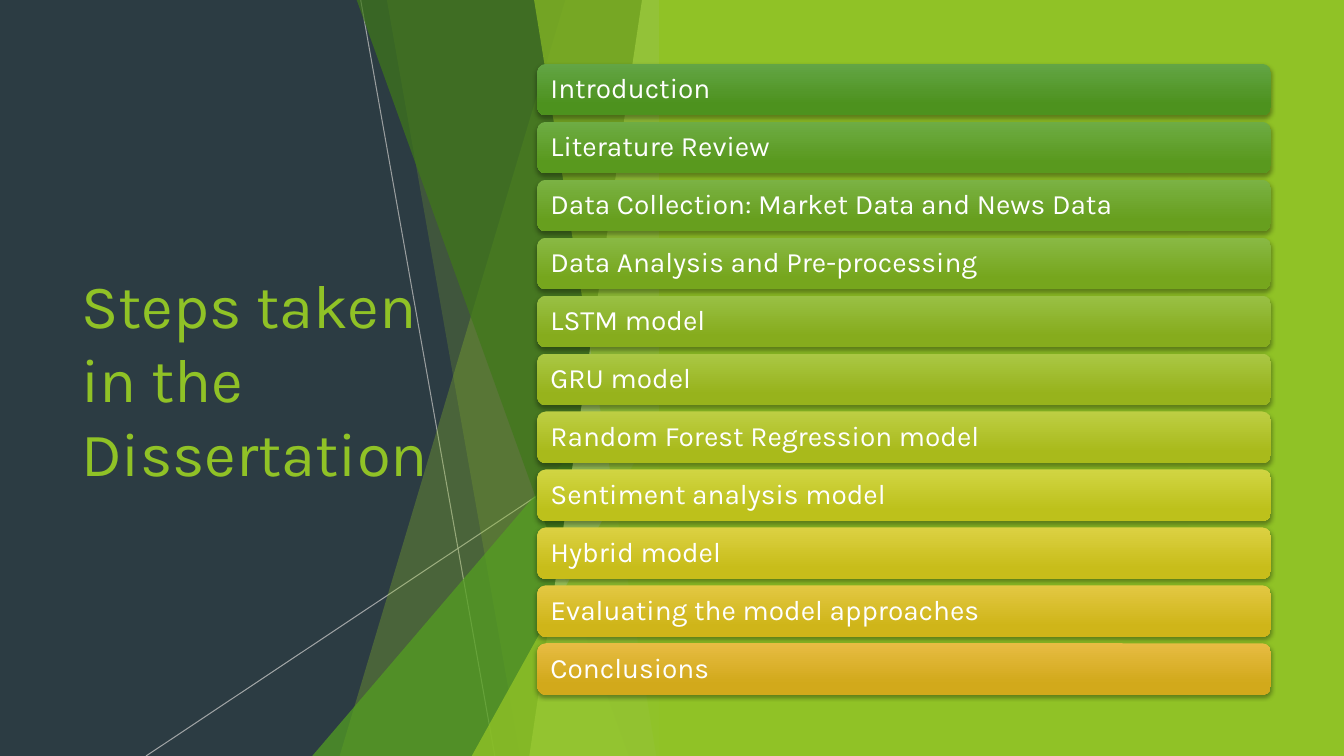
from lxml.etree import SubElement
from pptx import Presentation
from pptx.dml.color import RGBColor
from pptx.enum.shapes import MSO_CONNECTOR, MSO_SHAPE
from pptx.enum.text import MSO_ANCHOR, PP_ALIGN
from pptx.oxml.ns import qn
from pptx.util import Cm, Pt

THEME = {
    "font": "Karla", "title": 44, "step": 20,
    "back": "2C3C43", "lime": "90C226", "leaf": "54A021", "moss": "3F7819",
    "pale": "C0E474", "ray": "BFBFBF", "text": "FFFFFF", "shade": "000000",
}
TITLE = "Steps taken in the Dissertation"
# Step name, top colour and lower colour of its bar
STEPS = [
    ("Introduction", "63A545", "4D921E"),
    ("Literature Review", "6EAC44", "59991E"),
    ("Data Collection: Market Data and News Data", "7BB244", "679F1E"),
    ("Data Analysis and Pre-processing", "89B944", "76A61D"),
    ("LSTM model", "99C044", "86AC1D"),
    ("GRU model", "AAC744", "97B31C"),
    ("Random Forest Regression model", "BDCE43", "A9BA1B"),
    ("Sentiment analysis model", "D1D543", "BDC11B"),
    ("Hybrid model", "DCD143", "C8BD1A"),
    ("Evaluating the model approaches", "E3C843", "CFB519"),
    ("Conclusions", "E7BC43", "D2A91B"),
]
WIDE, HIGH = 33.87, 19.05
EDGE = 16.92   # right side shared by all facets
PANEL = 16.61  # left side of the lime panel
# Start x, start y, end x, end y, opacity
RAYS = [(9.09, 0, 12.47, HIGH, 75), (EDGE, 10.24, 3.68, HIGH, 80)]
# Bands: x at top, x at bottom. Peaks: left, top.
FACETS = [
    ("band", 14.25, 8.56, "lime", 30),
    ("band", 9.75, 13.11, "lime", 20),
    ("peak", 7.87, 8.46, "leaf", 72),
    ("band", 8.99, 15.85, "moss", 70),
    ("band", 16.18, 13.34, "pale", 70),
    ("band", 13.46, 16.54, "lime", 65),
    ("peak", 11.89, 9.98, "lime", 80),
]
BAR = {"left": 13.54, "top": 1.61, "wide": 18.49, "high": 1.3, "step": 1.46}


def rgb(name):
    return RGBColor.from_string(THEME.get(name, name))


def fade(shape, alpha):
    """Set the opacity, in percent, of the shape's one colour."""
    tone = shape.element.xpath(".//a:srgbClr")[0]
    SubElement(tone, qn("a:alpha"), val=str(alpha * 1000))


def paint(shape, color):
    shape.shadow.inherit = False
    shape.line.fill.background()
    shape.fill.solid()
    shape.fill.fore_color.rgb = rgb(color)


def write(shape, text, size, color):
    frame = shape.text_frame
    frame.word_wrap = True
    frame.vertical_anchor = MSO_ANCHOR.MIDDLE
    line = frame.paragraphs[0]
    line.alignment = PP_ALIGN.LEFT
    run = line.add_run()
    run.text = text
    run.font.name = THEME["font"]
    run.font.size = Pt(THEME[size])
    run.font.color.rgb = rgb(color)
    return frame


def add_ray(shapes, x1, y1, x2, y2, alpha):
    ray = shapes.add_connector(MSO_CONNECTOR.STRAIGHT, Cm(x1), Cm(y1), Cm(x2), Cm(y2))
    ray.line.color.rgb = rgb("ray")
    ray.line.width = Pt(0.75)
    SubElement(ray.element.spPr, qn("a:effectLst"))
    fade(ray, alpha)


def add_facet(shapes, kind, a, b, color, alpha):
    if kind == "band":
        form = shapes.build_freeform(Cm(a), 0)
        form.add_line_segments([(Cm(EDGE), 0), (Cm(EDGE), Cm(HIGH)), (Cm(b), Cm(HIGH))])
        facet = form.convert_to_shape()
    else:
        facet = shapes.add_shape(MSO_SHAPE.ISOSCELES_TRIANGLE, Cm(a), Cm(b),
                                 Cm(EDGE - a), Cm(HIGH - b))
        facet.adjustments[0] = 1
    paint(facet, color)
    fade(facet, alpha)


def add_bar(shapes, row, text, light, dark):
    bar = shapes.add_shape(MSO_SHAPE.ROUNDED_RECTANGLE, Cm(BAR["left"]),
                           Cm(BAR["top"] + row * BAR["step"]),
                           Cm(BAR["wide"]), Cm(BAR["high"]))
    bar.line.fill.background()
    bar.fill.gradient()
    bar.fill.gradient_angle = 270
    for stop, place, color in zip(bar.fill.gradient_stops, (0, 0.78), (light, dark)):
        stop.position = place
        stop.color.rgb = rgb(color)
    bar.shadow.inherit = False
    glow = bar.element.xpath("./p:spPr/a:effectLst")[0]
    drop = SubElement(glow, qn("a:outerShdw"), blurRad=str(Pt(3)), dist=str(Pt(2)),
                      dir="5400000", rotWithShape="0")
    tone = SubElement(drop, qn("a:srgbClr"), val=THEME["shade"])
    SubElement(tone, qn("a:alpha"), val="35000")
    frame = write(bar, text, "step", "text")
    frame.margin_left = frame.margin_right = Cm(0.27)
    frame.margin_top = frame.margin_bottom = Cm(0.2)
    frame.paragraphs[0].line_spacing = 0.9


def main():
    deck = Presentation()
    deck.slide_width, deck.slide_height = Cm(WIDE), Cm(HIGH)
    slide = deck.slides.add_slide(deck.slide_layouts[6])
    slide.background.fill.solid()
    slide.background.fill.fore_color.rgb = rgb("back")
    shapes = slide.shapes

    title = shapes.add_textbox(Cm(1.8), Cm(3.84), Cm(9.86), Cm(11.38))
    write(title, TITLE, "title", "lime")
    for ray in RAYS:
        add_ray(shapes, *ray)
    for facet in FACETS:
        add_facet(shapes, *facet)
    panel = shapes.add_shape(MSO_SHAPE.RECTANGLE, Cm(PANEL), 0, Cm(WIDE - PANEL), Cm(HIGH))
    paint(panel, "lime")
    for row, step in enumerate(STEPS):
        add_bar(shapes, row, *step)
    deck.save("out.pptx")


if __name__ == "__main__":
    main()
